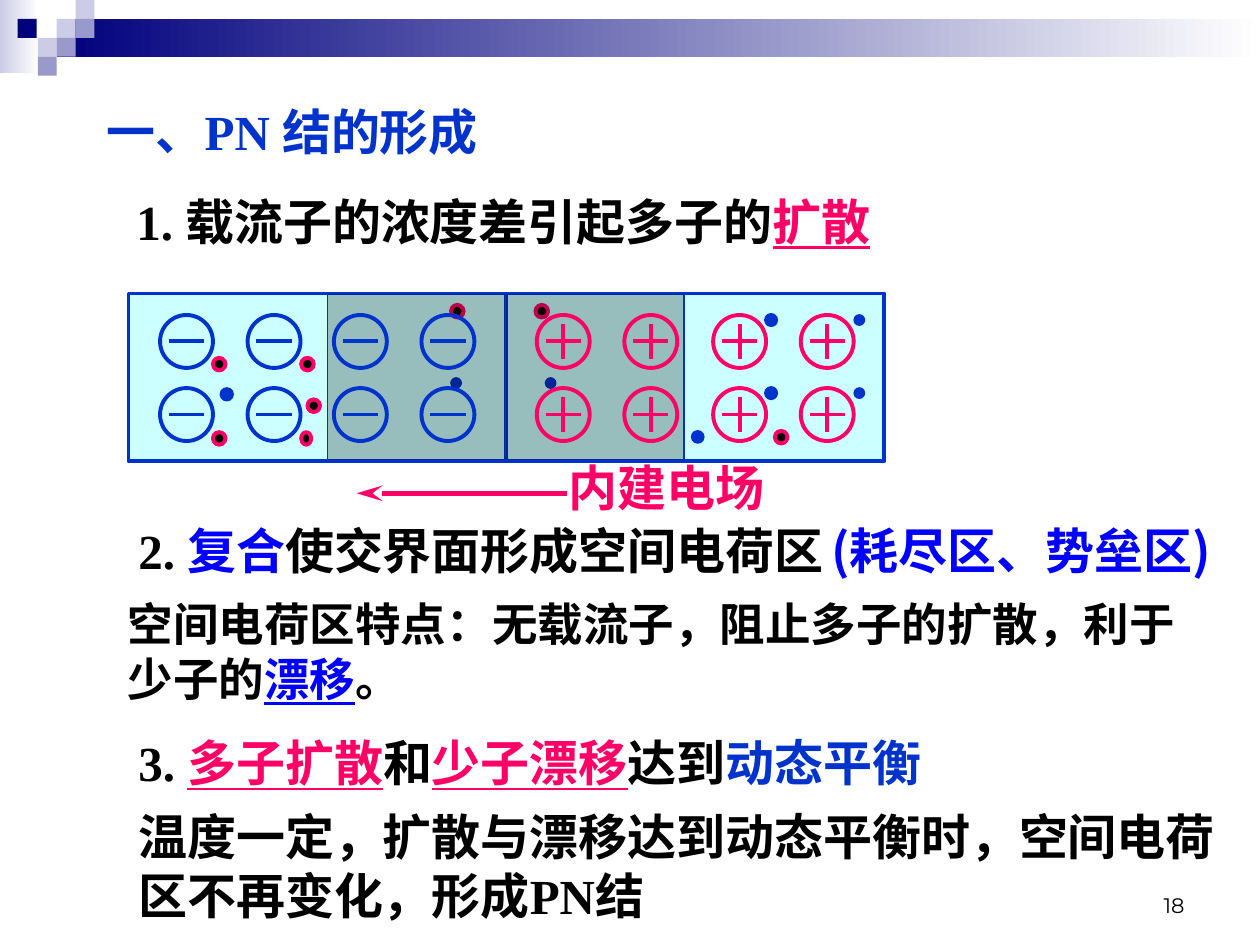
from lxml import etree
from pptx import Presentation, util as u
from pptx.dml.color import RGBColor
from pptx.enum import shapes, text
from pptx.oxml import ns

PX = 4572
NAVY = RGBColor(0x00, 0x00, 0x7D)
MIST = RGBColor(0xCC, 0xCC, 0xE6)
LILAC = RGBColor(0x99, 0x99, 0xCC)
WHITE = RGBColor(0xFF, 0xFF, 0xFF)
BLACK = RGBColor(0x00, 0x00, 0x00)
BLUE = RGBColor(0x00, 0x33, 0xCC)
PURE = RGBColor(0x00, 0x00, 0xFF)
ROSE = RGBColor(0xFF, 0x00, 0x66)
AQUA = RGBColor(0xCC, 0xFF, 0xFF)
RECT = shapes.MSO_SHAPE.RECTANGLE
OVAL = shapes.MSO_SHAPE.OVAL
ROMAN = "Times New Roman"
SANS = "Noto Sans CJK SC"
PITCH, DROP, ION = 139, 116, 84


def emu(*vals):
    return [u.Emu(v * PX) for v in vals]


def tag(node, name, **attrs):
    return etree.SubElement(node, ns.qn(name), attrs)


def add(slide, kind, box, fill=None, edge=None, width=1):
    shape = slide.shapes.add_shape(kind, *emu(*box))
    shape.shadow.inherit = False
    if fill is None:
        shape.fill.background()
    else:
        shape.fill.solid()
        shape.fill.fore_color.rgb = fill
    if edge is None:
        shape.line.fill.background()
    else:
        shape.line.color.rgb = edge
        shape.line.width = u.Pt(width)
    return shape


def fade(slide, box, start):
    fill = add(slide, RECT, box).fill
    fill.gradient()
    fill.gradient_angle = 0
    for stop, color in zip(fill.gradient_stops, (start, WHITE)):
        stop.color.rgb = color


def rule(slide, ends, color, width):
    line = slide.shapes.add_connector(shapes.MSO_CONNECTOR.STRAIGHT, *emu(*ends))
    line.line.color.rgb = color
    line.line.width = u.Pt(width)
    tag(line._element.spPr, "a:effectLst")
    return line


def write(slide, box, runs, size=28, font=ROMAN, bold=True):
    frame = slide.shapes.add_textbox(*emu(*box)).text_frame
    frame.word_wrap = True
    para = frame.paragraphs[0]
    for words, color, *more in runs:
        run = para.add_run()
        run.text = words
        run.font.size = u.Pt(size)
        run.font.bold = bold
        run.font.color.rgb = color
        run.font.underline = True if "u" in more else None
        run.font.name = "Arial" if "arial" in more else font
        tag(run._r.get_or_add_rPr(), "a:ea", typeface=SANS)
    return frame


def banner(slide, box):
    x, y, w, h = box
    fade(slide, (x, y, 62, h), MIST)
    fade(slide, (x + 90, y + 30, w - 90, 60), NAVY)
    for dx, dy, color in ((90, 30, MIST), (120, 0, MIST), (120, 30, LILAC),
                          (60, 60, MIST), (28, 30, NAVY), (90, 60, LILAC),
                          (60, 90, LILAC)):
        add(slide, RECT, (x + dx, y + dy, 30, 30), color)


def ions(slide, x, y, plus):
    color = ROSE if plus else BLUE
    mid = ION // 2
    for row in range(2):
        for col in range(2):
            left, top = x + col * PITCH, y + row * DROP
            add(slide, OVAL, (left, top, ION, ION), None, color, 2.25)
            rule(slide, (left + 14, top + mid, left + 70, top + mid), color, 2.25)
            if plus:
                rule(slide, (left + mid, top + 14, left + mid, top + 70), color, 2.25)


def holes(slide, x, y, spots):
    for dx, dy, *wide in spots:
        add(slide, OVAL, (x + dx, y + dy, *(wide or [20]), 20), BLACK, ROSE, 2.25)


def dots(slide, x, y, spots, size=16, width=1):
    for dx, dy in spots:
        add(slide, OVAL, (x + dx, y + dy, size, size), BLUE, BLUE, width)


def right(slide, box):
    x, y, w, h = box
    add(slide, RECT, box, AQUA, BLUE, 2.25)
    ions(slide, x + 328, y + 34, True)
    dots(slide, x, y, ((552, 34), (552, 150)))
    dots(slide, x, y, ((412, 34), (412, 150)), width=2.25)
    dots(slide, x, y, [(294, 218)], 19)
    holes(slide, x, y, [(426, 218)])


def left(slide, box):
    x, y, w, h = box
    add(slide, RECT, box, AQUA, BLUE, 2.25)
    ions(slide, x + 50, y + 34, False)
    holes(slide, x, y, ((134, 102), (274, 102), (134, 220), (274, 220, 16),
                        (284, 168)))
    dots(slide, x, y, [(146, 150)], 20)


def zone(slide, box):
    x, y, w, h = box
    holes(slide, x, y, ((196, 18), (330, 18)))
    dots(slide, x, y, ((196, 134), (346, 134)))
    shade = add(slide, RECT, box, BLACK, BLUE, 0.75)
    color = shade.fill._xPr.find(ns.qn("a:solidFill"))[0]
    tag(color, "a:alpha", val="26000")
    ions(slide, x + 10, y + 34, False)
    ions(slide, x + 332, y + 34, True)
    rule(slide, (x + 282, y, x + 282, y + h), BLUE, 0.75)


def field(slide, box):
    x, y, w, h = box
    arrow = rule(slide, (x + 334, y + 67, x, y + 67), ROSE, 3)
    tag(arrow.line._get_or_add_ln(), "a:tailEnd", type="stealth", w="med", len="lg")
    write(slide, (x + 317, y, w - 317, h), [("内建电场", ROSE)])


def notes(slide, box):
    x, y, w, h = box
    write(slide, (x, y, 1400, 114), [("一、PN 结的形成", BLUE)])
    write(slide, (x + 47, y + 142, 1534, 114),
          [("1. 载流子的浓度差引起多子的", BLACK), ("扩散", ROSE, "u")])
    write(slide, (x + 50, y + 664, 1266, 114),
          [("2. ", BLACK), ("复合", PURE), ("使交界面形成空间电荷区", BLACK)])
    write(slide, (x + 1150, y + 664, 700, 114),
          [("(耗尽区、势垒区)", PURE)], font=SANS)
    write(slide, (x + 33, y + 785, 1746, 194),
          [("空间电荷区特点：", BLACK),
           ("无载流子，阻止多子的扩散，利于少子的", BLACK, "arial"),
           ("漂移", PURE, "u", "arial"), ("。", BLACK, "arial")], size=26)
    write(slide, (x + 50, y + 1001, 1336, 114),
          [("3. ", BLACK), ("多子扩散", ROSE, "u"), ("和", BLACK),
           ("少子漂移", ROSE, "u"), ("达到", BLACK), ("动态平衡", BLUE)])
    write(slide, (x + 50, y + 1118, 1800, 208),
          [("温度一定，扩散与漂移达到动态平衡时，空间电荷区不再变化，形成PN结", BLACK)])


def number(slide, box):
    frame = write(slide, box, [("18", BLACK)], 12, "Montserrat", False)
    frame.vertical_anchor = text.MSO_ANCHOR.BOTTOM
    frame.paragraphs[0].alignment = text.PP_ALIGN.RIGHT


def main():
    deck = Presentation()
    deck.slide_width, deck.slide_height = emu(2000, 1500)
    slide = deck.slides.add_slide(deck.slide_layouts[6])
    banner(slide, (0, 0, 2000, 116))
    number(slide, (1434, 1366, 466, 100))
    right(slide, (804, 466, 600, 266))
    left(slide, (204, 466, 600, 266))
    notes(slide, (150, 152, 1850, 1326))
    zone(slide, (520, 466, 566, 266))
    field(slide, (566, 716, 784, 114))
    deck.save("out.pptx")


if __name__ == "__main__":
    main()
